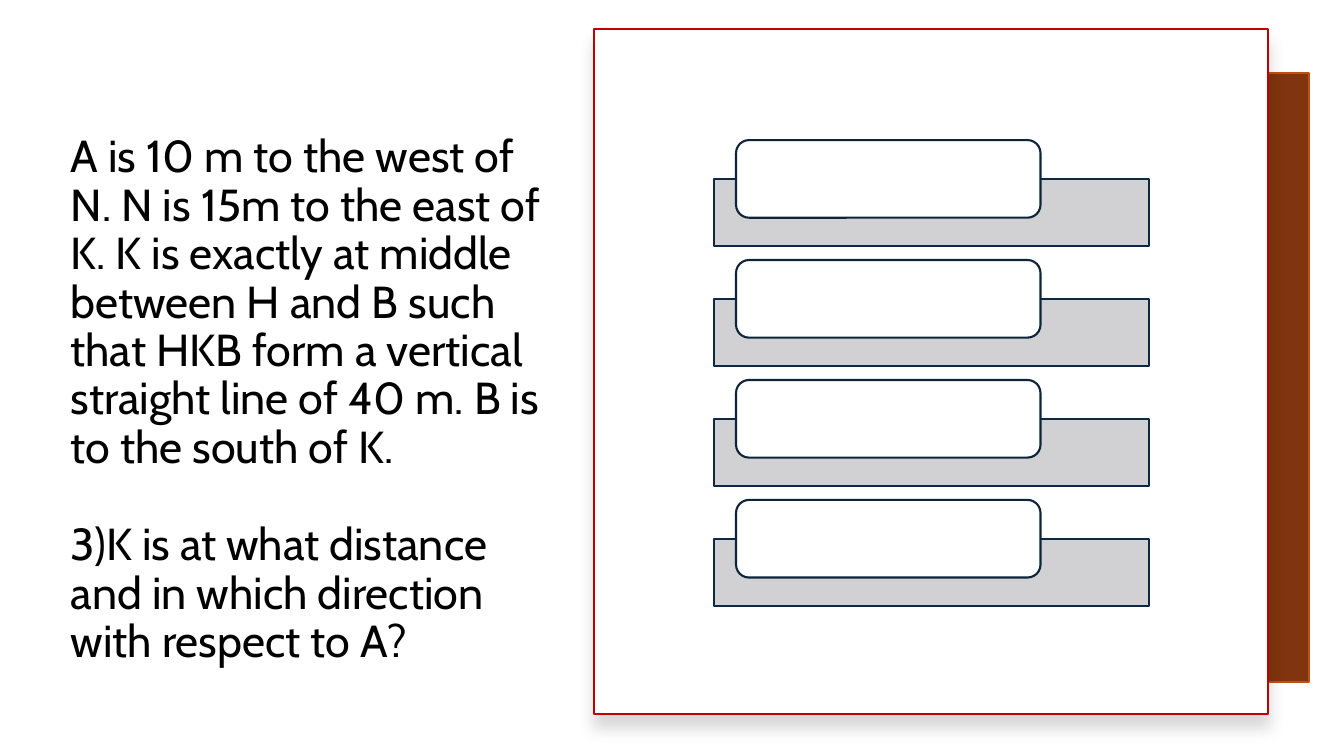
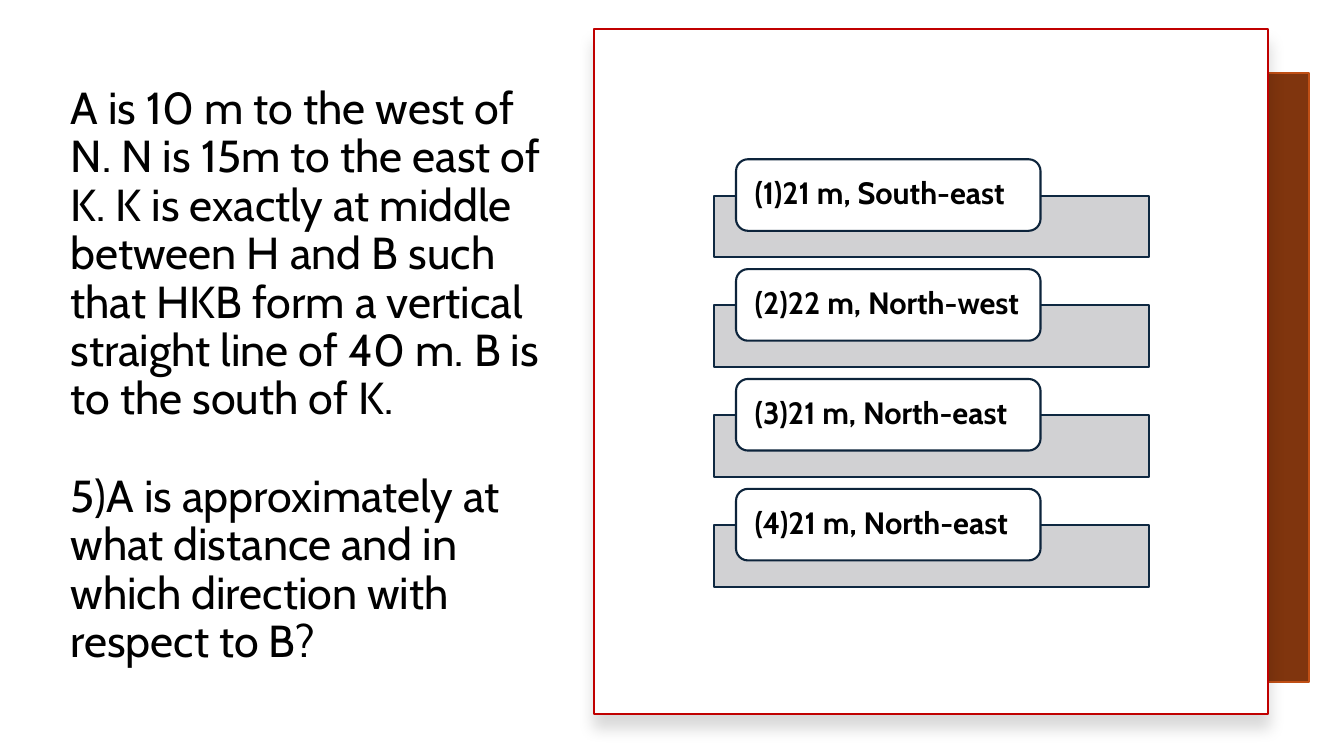
from lxml import etree
from pptx import Presentation
from pptx.dml.color import RGBColor
from pptx.enum.shapes import MSO_SHAPE
from pptx.enum.text import MSO_ANCHOR, PP_ALIGN
from pptx.oxml.ns import qn
from pptx.util import Inches, Pt

FONT = "Cabin"
PREMISE = (
    "A is 10 m to the west of N. N is 15m to the east of K. "
    "K is exactly at middle between H and B such that HKB form a vertical "
    "straight line of 40 m. B is to the south of K."
)
TITLE_FONT = {"name": FONT, "size": Pt(32), "bold": False}
LABEL_FONT = {"name": FONT, "size": Pt(22), "bold": True}
TITLE_FRAME = {"word_wrap": True, "vertical_anchor": MSO_ANCHOR.BOTTOM}
LABEL_FRAME = {
    "word_wrap": True,
    "vertical_anchor": MSO_ANCHOR.MIDDLE,
    "margin_left": Inches(0.15),
    "margin_right": Inches(0.15),
    "margin_top": 0,
    "margin_bottom": 0,
}
SLIDES = [
    {
        "question": "3)K is at what distance and in which direction with respect to A?",
        "labels": ["", "", "", ""],
        "top": 1.39, "pitch": 1.19, "tab": 0.77, "drop": 0.39, "bar": 0.66,
    },
    {
        "question": "5)A is approximately at what distance and in which direction with respect to B?",
        "labels": [
            "(1)21 m, South-east",
            "(2)22 m, North-west",
            "(3)21 m, North-east",
            "(4)21 m, North-east",
        ],
        "top": 1.58, "pitch": 1.09, "tab": 0.71, "drop": 0.36, "bar": 0.61,
    },
]


def rgb(code):
    return RGBColor.from_string(code)


def add_box(s, kind, x, y, w, h, fill, line):
    sp = s.shapes.add_shape(kind, Inches(x), Inches(y), Inches(w), Inches(h))
    sp.shadow.inherit = False
    sp.fill.solid()
    sp.fill.fore_color.rgb = rgb(fill)
    sp.line.color.rgb = rgb(line)
    sp.line.width = Pt(1.5)
    return sp


prs = Presentation()
prs.slide_width = Inches(13.33)
prs.slide_height = Inches(7.5)

for data in SLIDES:
    s = prs.slides.add_slide(prs.slide_layouts[5])

    title = s.shapes.title
    title.left, title.top = Inches(0.6), Inches(0.55)
    title.width, title.height = Inches(4.93), Inches(6.12)
    tf = title.text_frame
    for name, value in TITLE_FRAME.items():
        setattr(tf, name, value)
    tf.text = PREMISE + "\n" + data["question"]
    for p in tf.paragraphs:
        p.alignment = PP_ALIGN.LEFT
        p.line_spacing = 0.9
        p.font.color.rgb = rgb("000000")
        for name, value in TITLE_FONT.items():
            setattr(p.font, name, value)
    tf.paragraphs[1].space_before = Pt(35)

    add_box(s, MSO_SHAPE.RECTANGLE, 10.3, 0.72, 2.68, 6.05, "80350E", "C04F15")
    panel = add_box(s, MSO_SHAPE.RECTANGLE, 5.89, 0.29, 6.69, 6.79, "FFFFFF", "C00000")
    effects = panel._element.spPr.find(qn("a:effectLst"))
    shadow = etree.SubElement(
        effects, qn("a:outerShdw"),
        blurRad=str(Pt(11)), dist=str(Pt(10)), dir="5400000", algn="t", rotWithShape="0",
    )
    color = etree.SubElement(shadow, qn("a:srgbClr"), val="000000")
    etree.SubElement(color, qn("a:alpha"), val="15000")

    for i, label in enumerate(data["labels"]):
        y = data["top"] + i * data["pitch"]
        bar = add_box(s, MSO_SHAPE.RECTANGLE, 7.08, y + data["drop"], 4.32, data["bar"], "CCCDCF", "0E2841")
        color = bar._element.spPr.find(qn("a:solidFill")).find(qn("a:srgbClr"))
        etree.SubElement(color, qn("a:alpha"), val="90000")

        tab = add_box(s, MSO_SHAPE.ROUNDED_RECTANGLE, 7.3, y, 3.02, data["tab"], "FFFFFF", "0D243B")
        if label:
            tf = tab.text_frame
            for name, value in LABEL_FRAME.items():
                setattr(tf, name, value)
            p = tf.paragraphs[0]
            p.alignment = PP_ALIGN.LEFT
            p.line_spacing = 0.9
            r = p.add_run()
            r.text = label
            r.font.color.rgb = rgb("000000")
            for name, value in LABEL_FONT.items():
                setattr(r.font, name, value)

prs.save("out.pptx")
